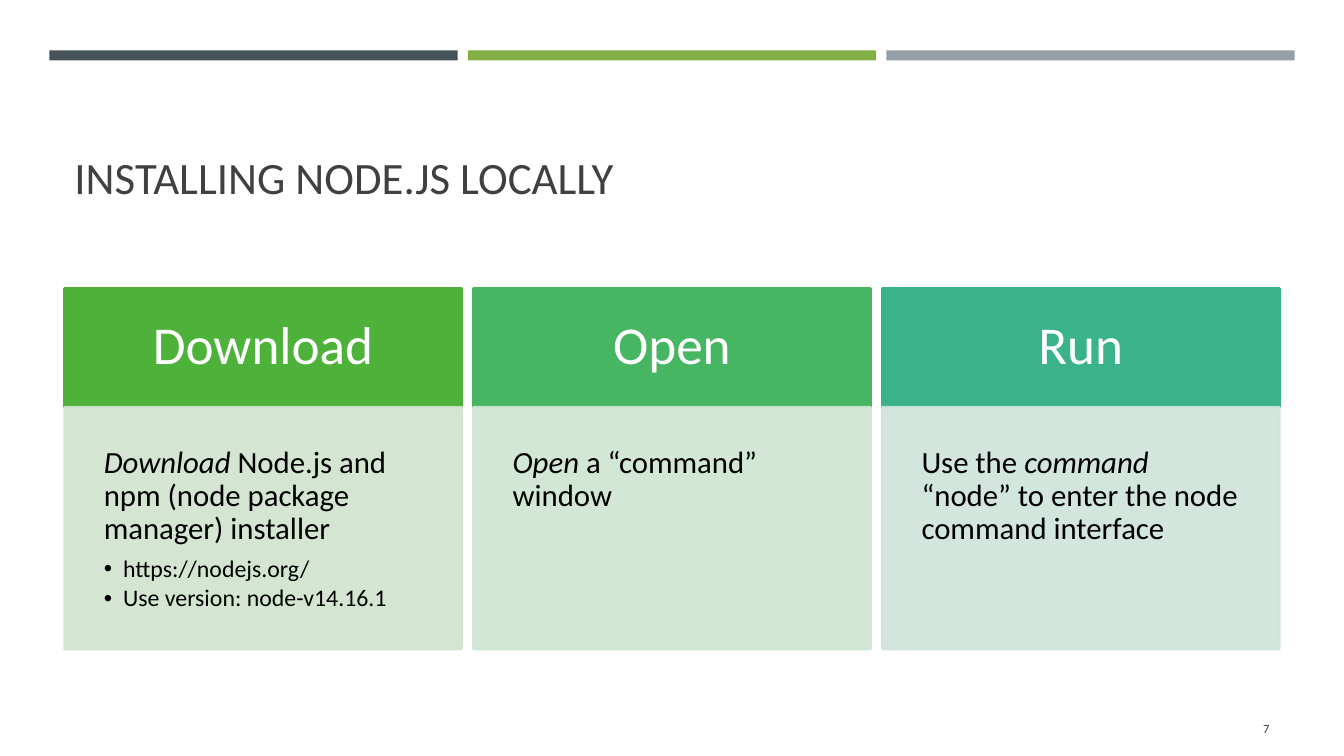
from dataclasses import dataclass

from lxml.etree import SubElement
from pptx import Presentation
from pptx.dml.color import RGBColor
from pptx.enum.shapes import MSO_SHAPE as SHAPE
from pptx.enum.text import MSO_ANCHOR as ANCHOR, PP_ALIGN as ALIGN
from pptx.oxml.ns import qn
from pptx.util import Inches, Pt

TITLE = "INSTALLING NODE.JS LOCALLY"
PAGE = "7"
BARS = ["465359", "82AF44", "969FA7"]
# Each text is a list of (words, italic) pieces
CARDS = [
    dict(head="Download", dark="4EB23A", pale="D0E4CE",
         text=[("Download", True),
               (" Node.js and npm (node package manager) installer", False)],
         bullets=["https://nodejs.org/", "Use version: node-v14.16.1"]),
    dict(head="Open", dark="47B662", pale="CFE5D3",
         text=[("Open", True), (" a “command” window", False)], bullets=[]),
    dict(head="Run", dark="3AB28A", pale="CEE4DA",
         text=[("Use the ", False), ("command", True),
               (" “node” to enter the node command interface", False)], bullets=[]),
]


@dataclass(frozen=True)
class Theme:
    font: str = "Calibri"
    gray: str = "404040"
    white: str = "FFFFFF"
    black: str = "000000"
    title: int = 32
    head: int = 38
    body: int = 22
    bullet: int = 17
    page: int = 9
    line: float = 1.75
    alpha: int = 90


T = Theme()
WIDTH, HEIGHT = 13.33, 7.5
BAR_LEFT, BAR_TOP, BAR_W, BAR_H, BAR_GAP = 0.49, 0.5, 4.05, 0.1, 0.1
LEFT, RIGHT, CARD_W = 0.64, 12.69, 3.94
HEAD_TOP, HEAD_H, BODY_H = 2.86, 1.18, 2.4
PITCH = (RIGHT - LEFT - CARD_W) / (len(CARDS) - 1)


def set_all(obj, **values):
    for name, value in values.items():
        setattr(obj, name, value)


def add_rect(s, box, color, outlined=False, alpha=100):
    sp = s.shapes.add_shape(SHAPE.RECTANGLE, *map(Inches, box))
    sp.shadow.inherit = False
    fills = [sp.fill]
    if outlined:
        sp.line.width = Pt(T.line)
        fills.append(sp.line.fill)
    else:
        sp.line.fill.background()
    for fill in fills:
        fill.solid()
        fill.fore_color.rgb = RGBColor.from_string(color)
    if alpha < 100:
        for clr in sp._element.spPr.iter(qn("a:srgbClr")):
            SubElement(clr, qn("a:alpha"), val=str(alpha * 1000))
    return sp


def set_frame(tf, anchor, inset=None):
    set_all(tf, word_wrap=True, vertical_anchor=anchor)
    if inset is not None:
        sides = ("left", "top", "right", "bottom")
        set_all(tf, **{f"margin_{side}": Inches(inset) for side in sides})


def write(p, pieces, size, color, **layout):
    set_all(p, **layout)
    for words, italic in pieces:
        r = p.add_run()
        r.text = words
        set_all(r.font, name=T.font, size=Pt(size), italic=italic)
        r.font.color.rgb = RGBColor.from_string(color)


def add_bullet(p):
    pPr = p._p.get_or_add_pPr()
    indent = Inches(0.19)
    pPr.set("marL", str(indent))
    pPr.set("indent", str(-indent))
    SubElement(pPr, qn("a:buFont"), typeface="Arial")
    SubElement(pPr, qn("a:buChar"), char="•")


def add_label(s, box, words, size, anchor, **layout):
    tf = s.shapes.add_textbox(*map(Inches, box)).text_frame
    set_frame(tf, anchor)
    write(tf.paragraphs[0], [(words, False)], size, T.gray, **layout)


def add_card(s, left, card):
    head = add_rect(s, (left, HEAD_TOP, CARD_W, HEAD_H), card["dark"], outlined=True)
    set_frame(head.text_frame, ANCHOR.MIDDLE, 0.31)
    write(head.text_frame.paragraphs[0], [(card["head"], False)], T.head, T.white,
          alignment=ALIGN.CENTER, line_spacing=0.9)

    body = add_rect(s, (left, HEAD_TOP + HEAD_H, CARD_W, BODY_H), card["pale"],
                    outlined=True, alpha=T.alpha)
    tf = body.text_frame
    set_frame(tf, ANCHOR.TOP, 0.39)
    write(tf.paragraphs[0], card["text"], T.body, T.black,
          alignment=ALIGN.LEFT, line_spacing=0.9, space_after=Pt(0.35 * T.body))
    for item in card["bullets"]:
        p = tf.add_paragraph()
        write(p, [(item, False)], T.bullet, T.black, level=1,
              alignment=ALIGN.LEFT, line_spacing=0.9, space_after=Pt(0.15 * T.bullet))
        add_bullet(p)


def main():
    prs = Presentation()
    set_all(prs, slide_width=Inches(WIDTH), slide_height=Inches(HEIGHT))
    s = prs.slides.add_slide(prs.slide_layouts[6])
    for i, color in enumerate(BARS):
        add_rect(s, (BAR_LEFT + i * (BAR_W + BAR_GAP), BAR_TOP, BAR_W, BAR_H), color)
    add_label(s, (LEFT, 0.77, RIGHT - LEFT, 1.3), TITLE, T.title, ANCHOR.BOTTOM)
    add_label(s, (RIGHT - 1.15, 7.03, 1.15, 0.4), PAGE, T.page, ANCHOR.MIDDLE,
              alignment=ALIGN.RIGHT, space_after=Pt(6))
    for i, card in enumerate(CARDS):
        add_card(s, LEFT + i * PITCH, card)
    prs.save("out.pptx")


if __name__ == "__main__":
    main()
